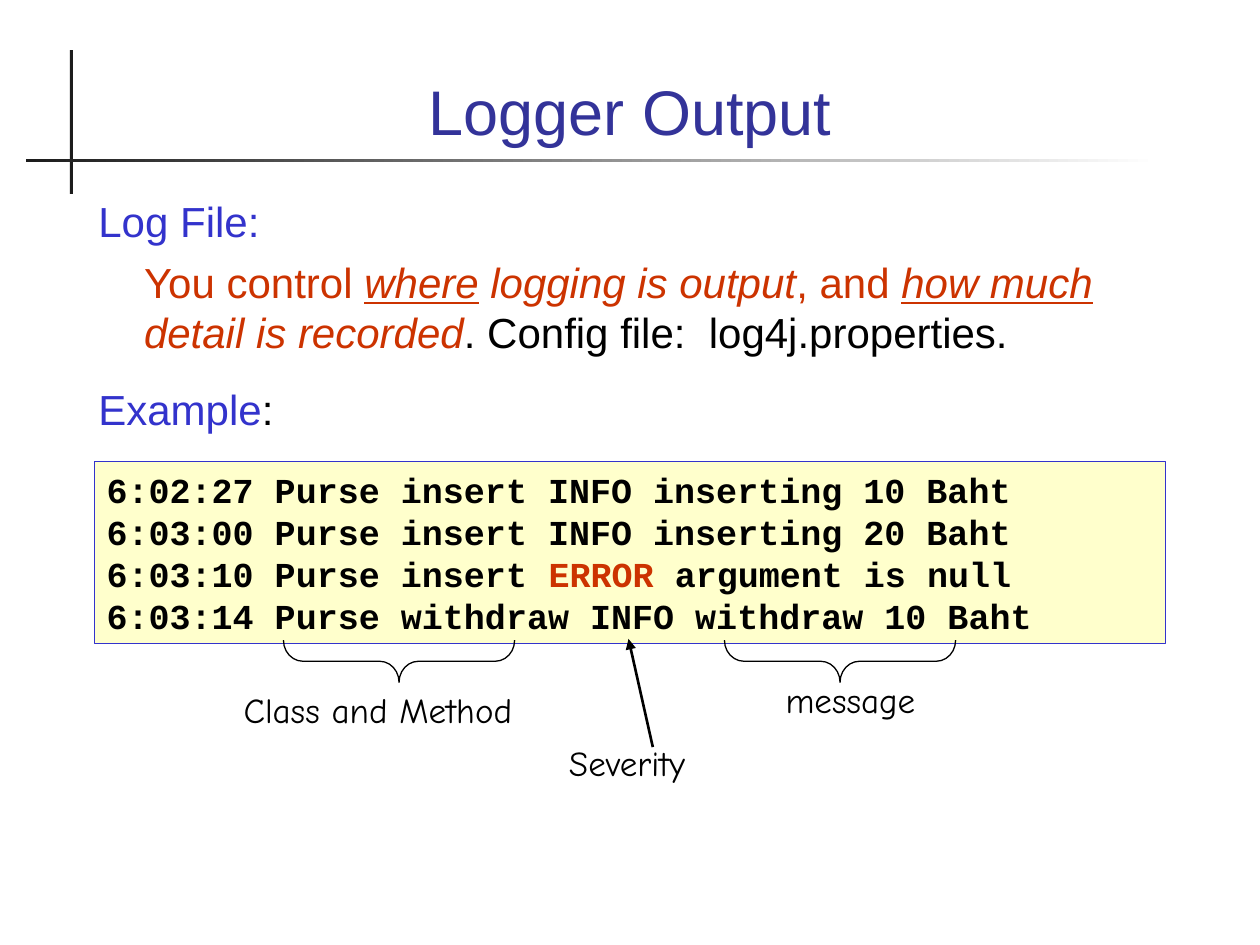
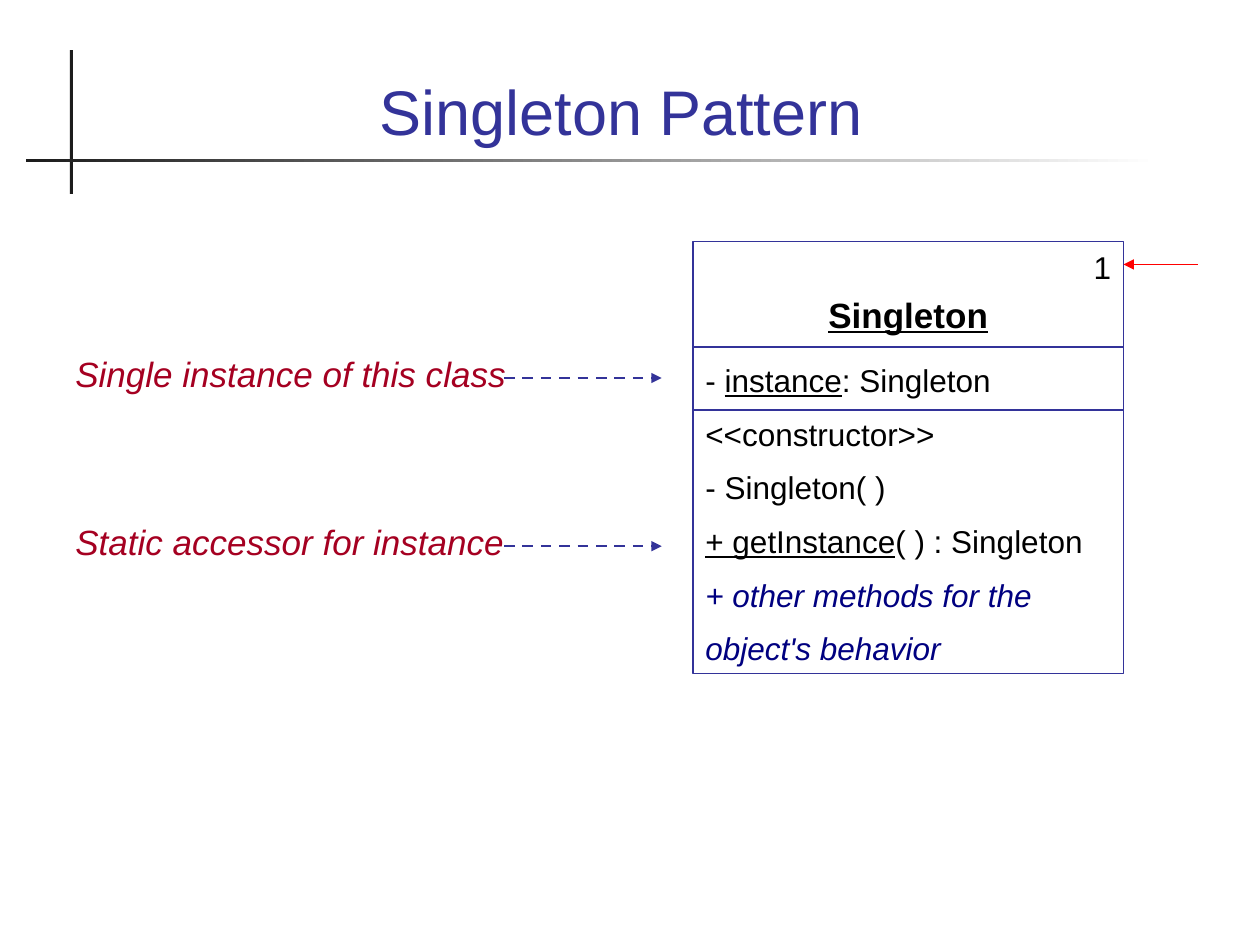
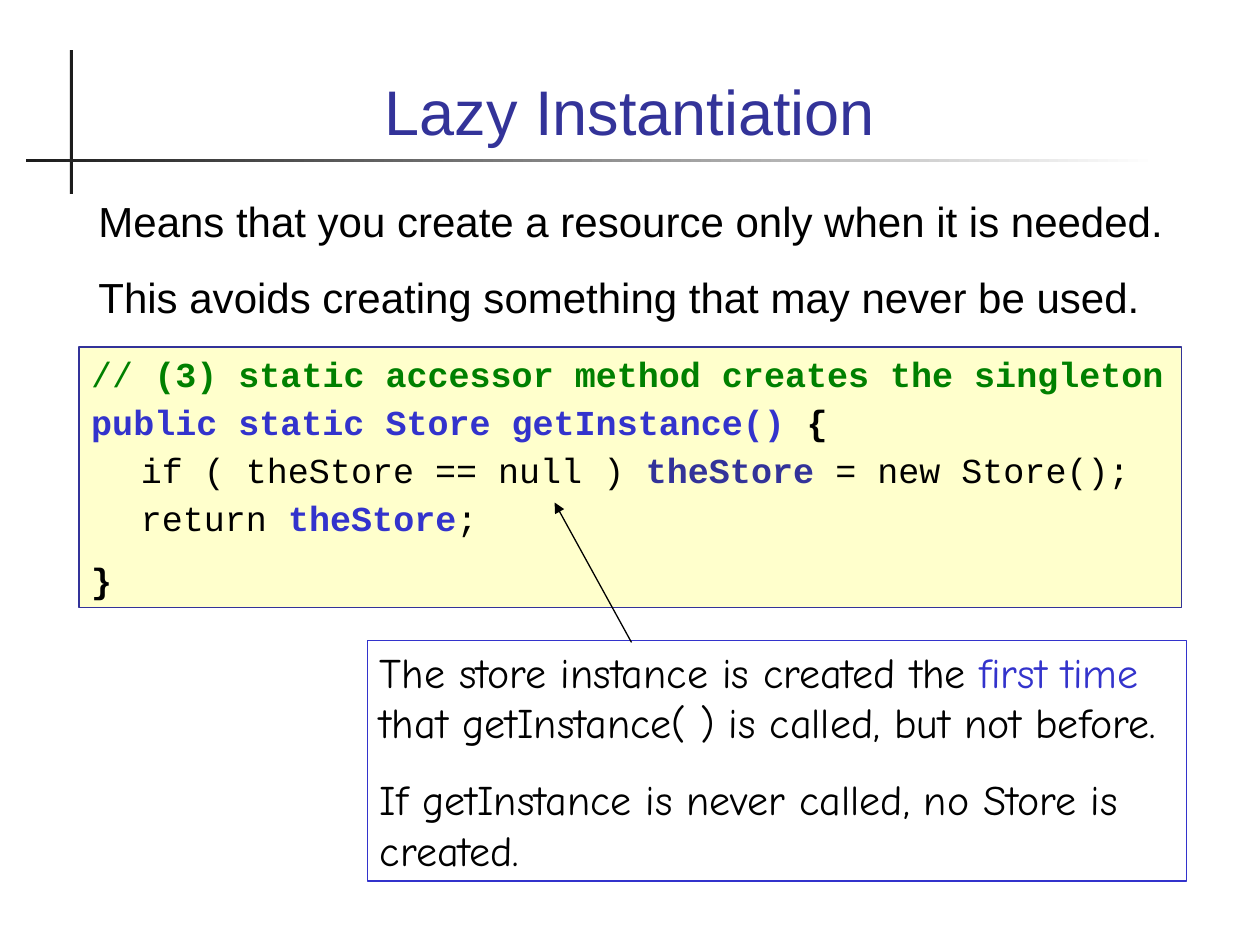
from lxml import etree
from pptx import Presentation
from pptx.dml.color import RGBColor
from pptx.enum import dml, shapes, text
from pptx.oxml.ns import qn
from pptx.util import Cm, Pt

NAVY, BLUE, RUST, BLACK = "333399", "3333CC", "CC3300", "000000"
CREAM, WHITE, INK = "FFFFCC", "FFFFFF", "1C1C1C"
GREEN, CRIMSON, DEEP_BLUE, RED = "008000", "A50021", "000080", "FF0000"

HEADING = dict(font="Arial", size=36, color=NAVY)
BODY = dict(font="Arial", size=24, color=BLACK)
CODE = dict(font="Courier New", size=20, color=BLACK)
HAND = dict(font="Comic Neue", size=20, color=BLACK)
MEMBER = dict(font="Arial", size=18, color=BLACK)
REMARK = dict(font="Arial", size=20, color=CRIMSON, italic=True)

TITLE_BOX = (1.7, 0.71, 22, 2.41)
BODY_LEFT, BODY_TOP, BODY_WIDTH = 1.69, 3.81, 22.2
UPRIGHT_BAR = (1.41, 1.01, 0.06, 2.9)
FADING_BAR = (0.53, 3.21, 22.81, 0.06)

RUSTY = dict(color=RUST)
SLANTED = dict(color=RUST, italic=True)
STRESSED = dict(color=RUST, italic=True, underline=True)
KEYWORD = dict(color=BLUE, bold=True)
UNDERLINED = dict(underline=True)
STRONG = dict(bold=True)
OTHER_METHODS = dict(color=DEEP_BLUE, italic=True)

LOG_INTRO = [
    (dict(margin=0.04, before=6), [("Log File:", dict(color=BLUE))]),
    (dict(margin=0.96, before=6), [
        ("You control ", RUSTY), ("where", STRESSED), (" logging is output", SLANTED),
        (", and ", RUSTY), ("how much", STRESSED), (" detail is recorded", SLANTED),
        ". Config file:  log4j.properties."]),
    (dict(margin=0.04, before=15), [("Example", dict(color=BLUE)), ":"]),
]
LOG_LINES = [
    ({}, [("6:02:27 Purse insert INFO inserting 10 Baht", STRONG)]),
    ({}, [("6:03:00 Purse insert INFO inserting 20 Baht", STRONG)]),
    ({}, [("6:03:10 Purse insert ", STRONG), ("ERROR", dict(color=RUST, bold=True)),
          (" argument is null", STRONG)]),
    ({}, [("6:03:14 Purse withdraw INFO withdraw 10 Baht", STRONG)]),
]
LOG_LABELS = [
    ("Class and Method", (4.66, 13.76, 6.35, 1.12), "left"),
    ("Severity", (11.22, 14.82, 3.6, 1.12), "left"),
    ("message", (13.97, 13.55, 6.35, 1.12), "center"),
]
BRACE_LEFTS = [7.62, 16.51]

CLASS_BOX = (13.97, 4.87, 8.68, 8.71)
CLASS_MEMBERS = [
    (dict(align="right", after=11), ["1"]),
    (dict(align="center", after=11, spacing=0.7),
     [("Singleton", dict(size=20, bold=True, underline=True))]),
    (dict(before=4.5), ["- ", ("instance", UNDERLINED), ": Singleton"]),
    (dict(before=9), ["<<constructor>>"]),
    (dict(before=9), ["- Singleton( )"]),
    (dict(before=9), [("+ getInstance", UNDERLINED), "( ) : Singleton"]),
    (dict(before=9), [("+ other methods for the", OTHER_METHODS)]),
    (dict(before=9), [("object's behavior", OTHER_METHODS)]),
]
DIVIDER_TOPS = [6.99, 8.26]
CLASS_REMARKS = [("Single instance of this class", 7.62), ("Static accessor for instance", 11.01)]

LAZY_INTRO = [
    (dict(margin=0.04, before=6), ["Means that you create a resource only when it is needed."]),
    (dict(margin=0.04, before=15), ["This avoids creating something that may never be used."]),
]
ACCESSOR_CODE = [
    (dict(before=3.4), [("// ", dict(color=GREEN)),
                        ("(3) static accessor method creates the singleton",
                         dict(color=GREEN, bold=True))]),
    (dict(before=3.4), [("public static Store getInstance() ", KEYWORD), ("{", STRONG)]),
    (dict(before=3.4, margin=1), ["if ( theStore == null ) ",
                                  ("theStore", dict(color=NAVY, bold=True)),
                                  " = new Store();"]),
    (dict(before=3.4, margin=1), ["return ", ("theStore", KEYWORD), ";"]),
    (dict(before=11.2), [("}", STRONG)]),
]
LAZY_NOTE = [
    (dict(before=15), ["The store instance is created the ", ("first time", dict(color=BLUE)),
                       " that getInstance( ) is called, but not before."]),
    (dict(before=15), ["If getInstance is never called, no Store is created."]),
]

ALIGNMENTS = dict(left=text.PP_ALIGN.LEFT, center=text.PP_ALIGN.CENTER, right=text.PP_ALIGN.RIGHT)


def rgb(value):
    return RGBColor.from_string(value)


def lengths(box):
    return [Cm(value) for value in box]


def write(frame, paragraphs, base):
    for index, (layout, runs) in enumerate(paragraphs):
        paragraph = frame.add_paragraph() if index else frame.paragraphs[0]
        paragraph.alignment = ALIGNMENTS[layout.get("align", "left")]
        paragraph.space_before = Pt(layout.get("before", 0))
        paragraph.space_after = Pt(layout.get("after", 0))
        if "spacing" in layout:
            paragraph.line_spacing = layout["spacing"]
        if "margin" in layout:
            properties = paragraph._p.get_or_add_pPr()
            properties.set("marL", str(Cm(layout["margin"])))
            properties.set("indent", "0")
            etree.SubElement(properties, qn("a:buNone"))
        for item in runs:
            words, changes = (item, {}) if isinstance(item, str) else item
            style = {**base, **changes}
            run = paragraph.add_run()
            run.text = words
            run.font.name = style["font"]
            run.font.size = Pt(style["size"])
            run.font.color.rgb = rgb(style["color"])
            run.font.bold = style.get("bold", False)
            run.font.italic = style.get("italic", False)
            run.font.underline = style.get("underline", False)


def add_outline(slide, kind, box, fill=None, line=None, weight=0.75):
    outline = slide.shapes.add_shape(kind, *lengths(box))
    outline.shadow.inherit = False
    if fill:
        outline.fill.solid()
        outline.fill.fore_color.rgb = rgb(fill)
    else:
        outline.fill.background()
    if line:
        outline.line.color.rgb = rgb(line)
        outline.line.width = Pt(weight)
    else:
        outline.line.fill.background()
    return outline


def add_panel(slide, box, paragraphs, base, fill, line, weight=0.75):
    panel = add_outline(slide, shapes.MSO_SHAPE.RECTANGLE, box, fill, line, weight)
    frame = panel.text_frame
    frame.word_wrap = True
    frame.vertical_anchor = text.MSO_ANCHOR.TOP
    frame.auto_size = text.MSO_AUTO_SIZE.SHAPE_TO_FIT_TEXT
    write(frame, paragraphs, base)


def add_label(slide, words, box, base, align="left", wrap=True):
    frame = slide.shapes.add_textbox(*lengths(box)).text_frame
    frame.word_wrap = wrap
    frame.auto_size = text.MSO_AUTO_SIZE.SHAPE_TO_FIT_TEXT
    write(frame, [(dict(align=align, before=12), [words])], base)


def add_line(slide, start, end, color, weight, arrow=True, dashed=False):
    line = slide.shapes.add_connector(shapes.MSO_CONNECTOR.STRAIGHT, *lengths(start + end))
    line.line.color.rgb = rgb(color)
    line.line.width = Pt(weight)
    if dashed:
        line.line.dash_style = dml.MSO_LINE.DASH
    if arrow:
        etree.SubElement(line.line._get_or_add_ln(), qn("a:tailEnd"), type="triangle")
    etree.SubElement(line._element.spPr, qn("a:effectLst"))


def add_slide(deck, heading, body=None, body_height=0):
    slide = deck.slides.add_slide(deck.slide_layouts[1 if body else 5])
    parts = [(slide.shapes.title, TITLE_BOX, [(dict(align="center"), [heading])],
              HEADING, text.MSO_ANCHOR.BOTTOM)]
    if body:
        parts.append((slide.placeholders[1], (BODY_LEFT, BODY_TOP, BODY_WIDTH, body_height),
                      body, BODY, text.MSO_ANCHOR.TOP))
    for holder, box, paragraphs, base, anchor in parts:
        holder.left, holder.top, holder.width, holder.height = lengths(box)
        holder.text_frame.auto_size = text.MSO_AUTO_SIZE.NONE
        holder.text_frame.vertical_anchor = anchor
        write(holder.text_frame, paragraphs, base)
    return slide


def move_bars_to_master(deck, slide):
    upright = add_outline(slide, shapes.MSO_SHAPE.RECTANGLE, UPRIGHT_BAR, INK)
    fading = add_outline(slide, shapes.MSO_SHAPE.RECTANGLE, FADING_BAR, INK)
    fading.fill.gradient()
    fading.fill.gradient_angle = 180
    for stop, color in zip(fading.fill.gradient_stops, (WHITE, INK)):
        stop.color.rgb = rgb(color)
    for bar in (upright, fading):
        deck.slide_master.shapes._spTree.append(bar._element)


def build_logger_output(deck):
    slide = add_slide(deck, "Logger Output", LOG_INTRO, 5.28)
    move_bars_to_master(deck, slide)
    add_panel(slide, (1.9, 9.31, 21.59, 3.66), LOG_LINES, CODE, CREAM, BLUE)
    for left in BRACE_LEFTS:
        brace = add_outline(slide, shapes.MSO_SHAPE.LEFT_BRACE, (left, 11, 0.85, 4.66), line=BLACK)
        brace.rotation = 270
        brace.adjustments[0] = 0.46
    for words, box, align in LOG_LABELS:
        add_label(slide, words, box, HAND, align)
    add_line(slide, (13.16, 15.06), (12.67, 12.88), BLACK, 1.5)


def build_singleton_pattern(deck):
    slide = add_slide(deck, "Singleton Pattern ")
    add_panel(slide, CLASS_BOX, CLASS_MEMBERS, MEMBER, None, NAVY, 1)
    left, right = CLASS_BOX[0], CLASS_BOX[0] + CLASS_BOX[2]
    for top in DIVIDER_TOPS:
        add_line(slide, (left, top), (right, top), NAVY, 1, arrow=False)
    for words, middle in CLASS_REMARKS:
        add_line(slide, (10.16, middle), (13.34, middle), NAVY, 1.5, dashed=True)
        add_label(slide, words, (1.27, middle - 0.64, 9.2, 1.12), REMARK, wrap=False)
    add_line(slide, (24.15, 5.33), (right, 5.33), RED, 0.75)


def build_lazy_instantiation(deck):
    slide = add_slide(deck, "Lazy Instantiation", LAZY_INTRO, 2.82)
    add_panel(slide, (1.59, 6.99, 22.23, 5.26), ACCESSOR_CODE, CODE, CREAM, NAVY, 1)
    add_panel(slide, (7.41, 12.91, 16.51, 4.85), LAZY_NOTE, {**HAND, "size": 24}, WHITE, BLUE)
    add_line(slide, (12.73, 12.95), (11.18, 10.13), BLACK, 0.75)


def main():
    deck = Presentation()
    deck.slide_width, deck.slide_height = Cm(25.4), Cm(19.05)
    build_logger_output(deck)
    build_singleton_pattern(deck)
    build_lazy_instantiation(deck)
    deck.save("out.pptx")


if __name__ == "__main__":
    main()
